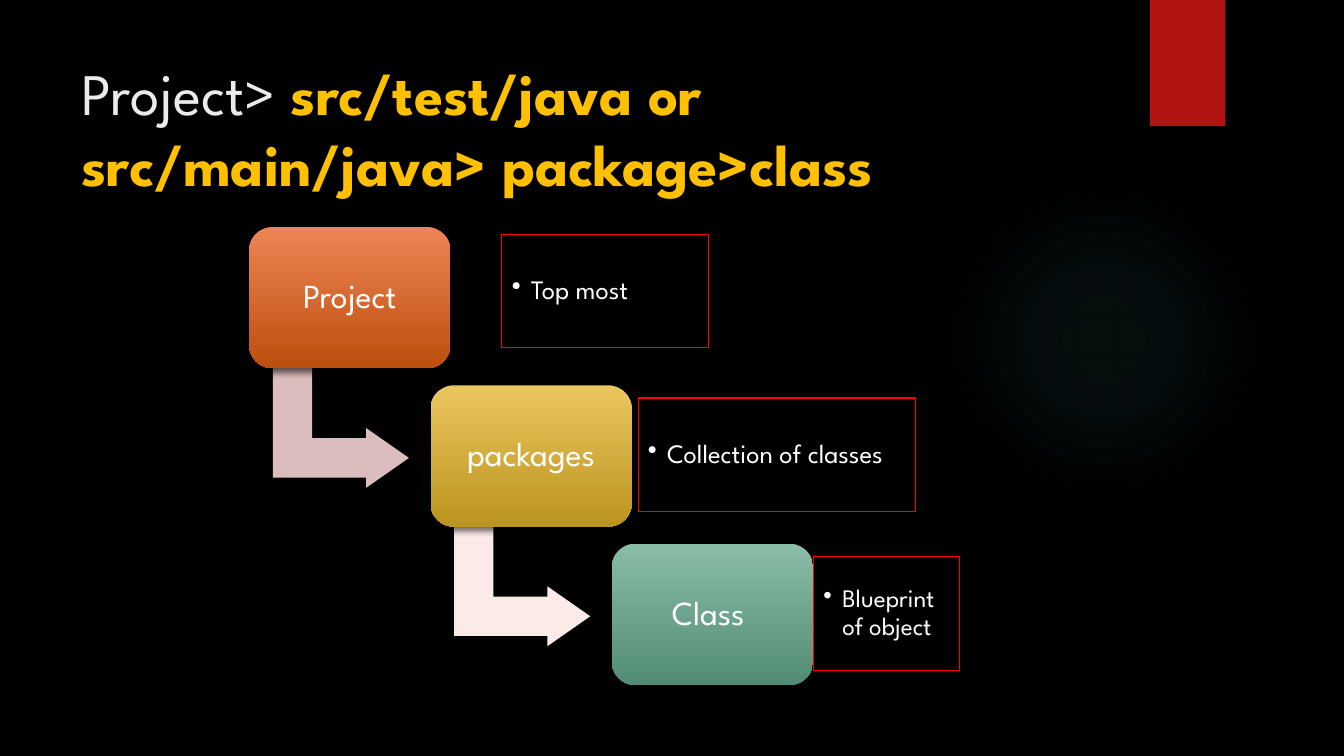
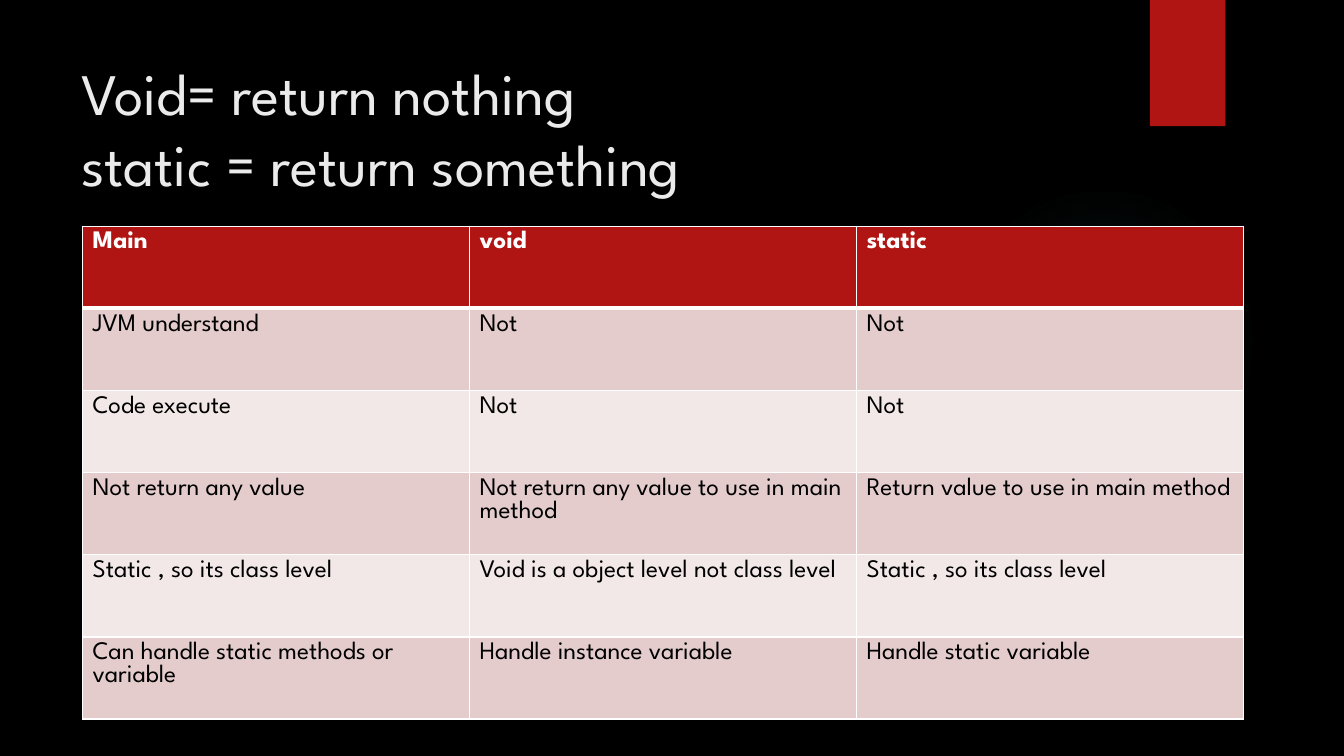
from lxml.etree import SubElement
from pptx import Presentation
from pptx.dml.color import RGBColor
from pptx.enum.shapes import MSO_SHAPE
from pptx.enum.text import MSO_ANCHOR, PP_ALIGN
from pptx.oxml.ns import qn
from pptx.util import Cm, Pt

FONT = "League Spartan"
COLORS = {
    "background": "000000", "accent": "B01513", "glow": "50B9C1",
    "title": "EBEBEB", "highlight": "FFC000", "white": "FFFFFF",
    "black": "000000", "note_line": "FF0000",
    "band_dark": "E4CCCC", "band_light": "F2E8E7",
}
STEPS = [
    ("Project", "EE8455", "BC4F0E", "DCBDBD"),
    ("packages", "EBC65F", "BB941F", "FBEBE8"),
    ("Class ", "89BDA7", "538C74", None),
]
NOTES = [
    ("Top most", 12.65, 5.9, 5.21, 19),
    ("Collection of classes", 16.08, 10.03, 6.99, 19),
    ("Blueprint of object", 20.5, 14.02, 3.68, 18),
]
ROWS = [
    ("Main", "void", "static"),
    ("JVM understand", "Not", "Not"),
    ("Code execute", "Not", "Not"),
    ("Not return any value", "Not return any value to use in main method",
     "Return value to use in main method"),
    ("Static , so its class level", "Void is a object level not class level",
     "Static , so its class level"),
    ("Can handle static methods or variable", "Handle instance variable",
     "Handle static variable"),
]


def rgb(value):
    """Turn a hex string into a colour."""
    return RGBColor.from_string(value)


def style_font(font, size, color, bold=False):
    """Apply the deck font with a size, colour and weight."""
    font.name = FONT
    font.size = Pt(size)
    font.color.rgb = rgb(color)
    font.bold = bold


def add_plain_shape(slide, kind, left, top, width, height, fill=None):
    """Add a shape without outline or shadow, filled if a colour is given."""
    shape = slide.shapes.add_shape(kind, Cm(left), Cm(top), Cm(width), Cm(height))
    shape.shadow.inherit = False
    shape.line.fill.background()
    if fill:
        shape.fill.solid()
        shape.fill.fore_color.rgb = rgb(fill)
    else:
        shape.fill.background()
    return shape


def add_drop_shadow(shape, opacity, blur, distance):
    """Give a shape a black shadow that falls straight down."""
    effects = shape.element.spPr.find(qn("a:effectLst"))
    shadow = SubElement(effects, qn("a:outerShdw"), blurRad=str(Pt(blur)),
                        dist=str(Pt(distance)), dir="5400000", rotWithShape="0")
    color = SubElement(shadow, qn("a:srgbClr"), val=COLORS["black"])
    SubElement(color, qn("a:alpha"), val=str(opacity * 1000))


def add_glow(slide):
    """Add the faint round glow on the right of the background."""
    glow = add_plain_shape(slide, MSO_SHAPE.OVAL, 23.9, 4.65, 7.82, 7.82)
    glow.fill.gradient()
    gradient = glow.element.spPr.find(qn("a:gradFill"))
    for child in list(gradient):
        gradient.remove(child)
    stops = SubElement(gradient, qn("a:gsLst"))
    for position, opacity in ((0, 7), (36, 6), (69, 0)):
        stop = SubElement(stops, qn("a:gs"), pos=str(position * 1000))
        color = SubElement(stop, qn("a:srgbClr"), val=COLORS["glow"])
        SubElement(color, qn("a:alpha"), val=str(opacity * 1000))
    circle = SubElement(gradient, qn("a:path"), path="circle")
    SubElement(circle, qn("a:fillToRect"), l="50000", t="50000", r="50000", b="50000")


def add_titled_slide(presentation, lines):
    """Add a slide with the shared background, red tab and title."""
    slide = presentation.slides.add_slide(presentation.slide_layouts[5])
    slide.background.fill.solid()
    slide.background.fill.fore_color.rgb = rgb(COLORS["background"])
    add_glow(slide)
    tab = add_plain_shape(slide, MSO_SHAPE.RECTANGLE, 28.98, 0, 1.9, 3.18, COLORS["accent"])
    add_drop_shadow(tab, 45, 3, 2)
    title = slide.shapes.title
    title.left, title.top, title.width, title.height = Cm(1.8), Cm(1.27), Cm(26.14), Cm(3.89)
    frame = title.text_frame
    frame.word_wrap = True
    frame.vertical_anchor = MSO_ANCHOR.MIDDLE
    paragraph = frame.paragraphs[0]
    paragraph.alignment = PP_ALIGN.LEFT
    style_font(paragraph.font, 42, COLORS["title"])
    for index, runs in enumerate(lines):
        if index:
            paragraph.add_line_break()
        for text, highlighted in runs:
            run = paragraph.add_run()
            run.text = text
            if highlighted:
                style_font(run.font, 42, COLORS["highlight"], True)
    return slide


def write_in_shape(shape, text, size, alignment):
    """Write one white paragraph in the vertical middle of a shape."""
    frame = shape.text_frame
    frame.word_wrap = True
    frame.vertical_anchor = MSO_ANCHOR.MIDDLE
    frame.margin_left = frame.margin_right = Cm(0.25)
    frame.margin_top = frame.margin_bottom = Cm(0.25)
    paragraph = frame.paragraphs[0]
    paragraph.text = text
    paragraph.alignment = alignment
    paragraph.line_spacing = 0.9
    return paragraph, size


def add_step(slide, index, text, light, dark, arrow_color):
    """Add one box of the staircase and the arrow that leaves it."""
    left, top = 6.28 + 4.57 * index, 5.72 + 3.99 * index
    if arrow_color:
        arrow = add_plain_shape(slide, MSO_SHAPE.BENT_UP_ARROW, left + 0.8, top + 3.35,
                                3.02, 3.43, arrow_color)
        arrow.rotation = 90
        for position, value in enumerate((0.328, 0.25, 0.358)):
            arrow.adjustments[position] = value
        add_drop_shadow(arrow, 60, 5, 3)
    box = add_plain_shape(slide, MSO_SHAPE.ROUNDED_RECTANGLE, left, top, 5.07, 3.56)
    box.fill.gradient()
    box.fill.gradient_angle = 270
    for stop, position, color in zip(box.fill.gradient_stops, (0, 1), (light, dark)):
        stop.position = position
        stop.color.rgb = rgb(color)
    add_drop_shadow(box, 60, 5, 3)
    paragraph, size = write_in_shape(box, text, 24, PP_ALIGN.CENTER)
    style_font(paragraph.font, size, COLORS["white"])


def add_note(slide, text, left, top, width, size):
    """Add a red-framed box with one bulleted remark."""
    note = add_plain_shape(slide, MSO_SHAPE.RECTANGLE, left, top, width, 2.87)
    note.line.color.rgb = rgb(COLORS["note_line"])
    note.line.width = Pt(0.75)
    paragraph, size = write_in_shape(note, text, size, PP_ALIGN.LEFT)
    properties = paragraph._p.get_or_add_pPr()
    properties.set("marL", str(Cm(0.48)))
    properties.set("indent", str(-Cm(0.48)))
    SubElement(properties, qn("a:buChar"), char="•")
    style_font(paragraph.font, size, COLORS["white"])


def set_borders(cell, top, bottom):
    """Draw white borders, with the top and bottom widths in points."""
    properties = cell._tc.get_or_add_tcPr()
    for side, width in (("L", 1), ("R", 1), ("T", top), ("B", bottom)):
        line = SubElement(properties, qn("a:ln" + side), w=str(Pt(width)))
        fill = SubElement(line, qn("a:solidFill"))
        SubElement(fill, qn("a:srgbClr"), val=COLORS["white"])


def add_comparison_table(slide, rows):
    """Add the banded table with a red heading row."""
    table = slide.shapes.add_table(len(rows), len(rows[0]), Cm(2.08), Cm(5.7),
                                   Cm(29.26), Cm(12.42)).table
    for row_index, texts in enumerate(rows):
        heading = row_index == 0
        band = "band_dark" if row_index % 2 else "band_light"
        for column_index, text in enumerate(texts):
            cell = table.cell(row_index, column_index)
            set_borders(cell, 3 if row_index == 1 else 1, 3 if heading else 1)
            cell.fill.solid()
            cell.fill.fore_color.rgb = rgb(COLORS["accent" if heading else band])
            paragraph = cell.text_frame.paragraphs[0]
            paragraph.text = text
            style_font(paragraph.font, 18, COLORS["white" if heading else "black"], heading)


def main():
    """Build both slides and save the presentation."""
    presentation = Presentation()
    presentation.slide_width, presentation.slide_height = Cm(33.87), Cm(19.05)

    hierarchy = add_titled_slide(presentation, [
        [("Project> ", False), ("src/test/java or", True)],
        [("src/main/java> package>class", True)],
    ])
    for index, step in enumerate(STEPS):
        add_step(hierarchy, index, *step)
    for note in NOTES:
        add_note(hierarchy, *note)

    comparison = add_titled_slide(presentation, [
        [("Void= return nothing", False)],
        [("static = return something", False)],
    ])
    add_comparison_table(comparison, ROWS)
    presentation.save("out.pptx")


if __name__ == "__main__":
    main()
